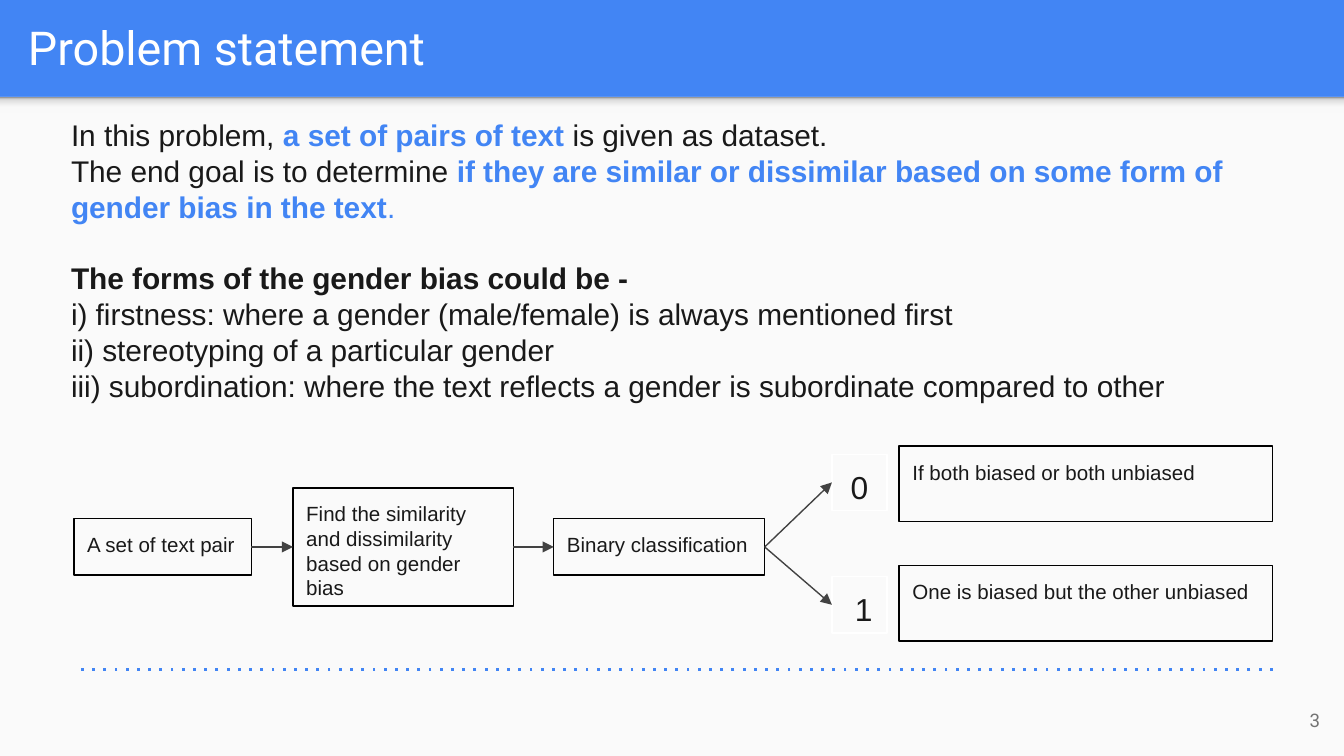
from dataclasses import dataclass

from lxml.etree import SubElement
from pptx import Presentation
from pptx.dml.color import RGBColor
from pptx.enum.shapes import MSO_CONNECTOR, MSO_SHAPE
from pptx.enum.text import MSO_ANCHOR, PP_ALIGN
from pptx.oxml.ns import qn
from pptx.shapes.autoshape import Shape
from pptx.shapes.connector import Connector
from pptx.slide import Slide
from pptx.util import Inches, Pt

BLUE = RGBColor(0x42, 0x85, 0xF4)
PAPER = RGBColor(0xFA, 0xFA, 0xFA)
WHITE = RGBColor(0xFF, 0xFF, 0xFF)
BLACK = RGBColor(0, 0, 0)
INK = RGBColor(0x19, 0x19, 0x19)
ARROW = RGBColor(0x42, 0x42, 0x42)
GRAY = RGBColor(0x73, 0x73, 0x73)
SHADOW_STOPS = [(0, "F9F9F9"), (36, "F9F9F9"), (80, "DEDEDE"), (100, "999999")]

LEFT, RIGHT = 1, 3


@dataclass(frozen=True)
class Box:
    text: str
    left: float
    top: float
    width: float
    height: float
    size: int = 11
    outline: RGBColor = BLACK
    align: PP_ALIGN = PP_ALIGN.LEFT
    left_inset: float = 0.1


@dataclass(frozen=True)
class Span:
    text: str
    color: RGBColor = INK
    bold: bool = False


STATEMENT = [
    [Span("In this problem, "), Span("a set of pairs of text", BLUE, True), Span(" is given as dataset.")],
    [
        Span("The end goal is to determine "),
        Span("if they are similar or dissimilar based on some form of gender bias in the text", BLUE, True),
        Span(".", BLUE),
    ],
]
BIAS_FORMS = [
    [Span("The forms of the gender bias could be -", bold=True)],
    [Span("i) firstness: where a gender (male/female) is always mentioned first")],
    [Span("ii) stereotyping of a particular gender")],
    [Span("iii) subordination: where the text reflects a gender is subordinate compared to other")],
]


def set_insets(shape: Shape, left: float = 0.1) -> None:
    frame = shape.text_frame
    frame.word_wrap = True
    frame.margin_left = Inches(left)
    frame.margin_top = frame.margin_right = frame.margin_bottom = Inches(0.1)


def add_label(slide: Slide, text: str, left: float, top: float, width: float, height: float,
              size: int, color: RGBColor, align: PP_ALIGN) -> None:
    label = slide.shapes.add_textbox(Inches(left), Inches(top), Inches(width), Inches(height))
    set_insets(label)
    label.text_frame.vertical_anchor = MSO_ANCHOR.MIDDLE
    paragraph = label.text_frame.paragraphs[0]
    paragraph.text = text
    paragraph.alignment = align
    paragraph.font.name = "Roboto"
    paragraph.font.size = Pt(size)
    paragraph.font.color.rgb = color


def add_band(slide: Slide, top: float, height: float) -> Shape:
    band = slide.shapes.add_shape(MSO_SHAPE.RECTANGLE, 0, Inches(top), Inches(10), Inches(height))
    band.shadow.inherit = False
    band.line.fill.background()
    return band


def add_backdrop(slide: Slide) -> None:
    slide.background.fill.solid()
    slide.background.fill.fore_color.rgb = BLUE
    panel = add_band(slide, 0.72, 4.91)
    panel.fill.solid()
    panel.fill.fore_color.rgb = PAPER

    header_shadow = add_band(slide, 0.72, 0.12)
    header_shadow.fill.gradient()
    header_shadow.fill.gradient_angle = 90
    stops = header_shadow._element.spPr.find(qn("a:gradFill")).find(qn("a:gsLst"))
    for stop in list(stops):
        stops.remove(stop)
    for percent, color in SHADOW_STOPS:
        stop = SubElement(stops, qn("a:gs"), pos=str(percent * 1000))
        SubElement(stop, qn("a:srgbClr"), val=color)


def add_body(slide: Slide) -> None:
    body = slide.shapes.add_textbox(Inches(0.43), Inches(0.77), Inches(9.21), Inches(2.3))
    set_insets(body)
    frame = body.text_frame
    for index, spans in enumerate(STATEMENT + BIAS_FORMS):
        paragraph = frame.add_paragraph() if index else frame.paragraphs[0]
        if index == len(STATEMENT):
            paragraph.space_before = Pt(19)
        paragraph.font.name = "Arial"
        paragraph.font.size = Pt(16)
        for span in spans:
            run = paragraph.add_run()
            run.text = span.text
            run.font.bold = span.bold
            run.font.color.rgb = span.color


def add_box(slide: Slide, box: Box) -> Shape:
    shape = slide.shapes.add_shape(
        MSO_SHAPE.RECTANGLE, Inches(box.left), Inches(box.top), Inches(box.width), Inches(box.height)
    )
    shape.shadow.inherit = False
    shape.fill.background()
    shape.line.color.rgb = box.outline
    shape.line.width = Pt(0.75)
    set_insets(shape, box.left_inset)
    shape.text_frame.vertical_anchor = MSO_ANCHOR.TOP
    paragraph = shape.text_frame.paragraphs[0]
    paragraph.text = box.text
    paragraph.alignment = box.align
    paragraph.space_after = Pt(12)
    paragraph.font.name = "Arial"
    paragraph.font.size = Pt(box.size)
    paragraph.font.color.rgb = INK
    return shape


def add_line(slide: Slide, start: tuple[float, float], end: tuple[float, float],
             color: RGBColor, width: float) -> Connector:
    line = slide.shapes.add_connector(MSO_CONNECTOR.STRAIGHT, *map(Inches, start + end))
    line.line.color.rgb = color
    line.line.width = Pt(width)
    SubElement(line._element.spPr, qn("a:effectLst"))
    return line


def add_arrow(slide: Slide, source: Shape, target: Shape) -> None:
    arrow = add_line(slide, (0, 0), (1, 1), ARROW, 0.75)
    arrow.begin_connect(source, RIGHT)
    arrow.end_connect(target, LEFT)
    SubElement(arrow.line._get_or_add_ln(), qn("a:tailEnd"), type="triangle")


def add_flow(slide: Slide) -> None:
    text_pair = add_box(slide, Box("A set of text pair", 0.55, 3.86, 1.32, 0.42))
    similarity = add_box(
        slide, Box("Find the similarity and dissimilarity based on gender bias", 2.18, 3.63, 1.64, 0.88)
    )
    classifier = add_box(slide, Box("Binary classification", 4.12, 3.86, 1.57, 0.42))
    add_box(slide, Box("If both biased or both unbiased", 6.69, 3.32, 2.78, 0.56))
    add_box(slide, Box("One is biased but the other unbiased", 6.69, 4.21, 2.78, 0.56))
    zero = add_box(slide, Box("0", 6.19, 3.38, 0.41, 0.42, 17, WHITE, PP_ALIGN.CENTER))
    one = add_box(slide, Box("1", 6.19, 4.29, 0.41, 0.42, 17, WHITE, left_inset=0.17))
    for source, target in [
        (text_pair, similarity), (similarity, classifier), (classifier, zero), (classifier, one)
    ]:
        add_arrow(slide, source, target)


def main() -> None:
    presentation = Presentation()
    presentation.slide_width = Inches(10)
    presentation.slide_height = Inches(10 * 9 / 16)
    slide = presentation.slides.add_slide(presentation.slide_layouts[6])
    add_backdrop(slide)
    add_label(slide, "Problem statement", 0.11, 0.02, 9.65, 0.66, 25, WHITE, PP_ALIGN.LEFT)
    add_body(slide)
    divider = add_line(slide, (9.47, 4.98), (0.56, 4.98), BLUE, 1.5)
    SubElement(divider.line._get_or_add_ln(), qn("a:prstDash"), val="dot")
    add_flow(slide)
    add_label(slide, "3", 9.32, 5.14, 0.6, 0.43, 10, GRAY, PP_ALIGN.RIGHT)
    presentation.save("out.pptx")


if __name__ == "__main__":
    main()
